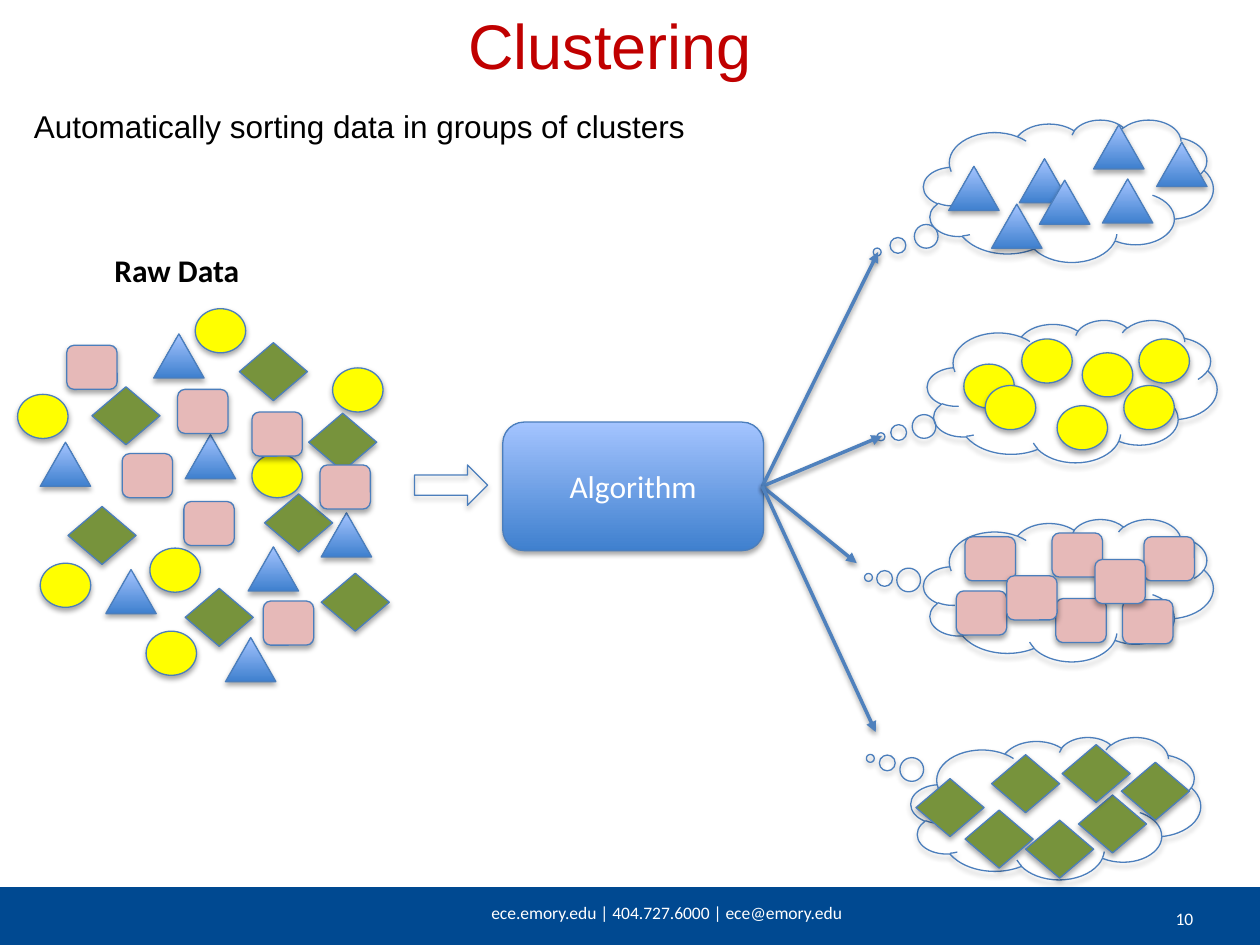
from lxml import etree
from pptx import Presentation
from pptx.dml.color import RGBColor
from pptx.enum.shapes import MSO_CONNECTOR, MSO_SHAPE
from pptx.enum.text import MSO_ANCHOR, MSO_AUTO_SIZE, PP_ALIGN
from pptx.oxml.ns import qn
from pptx.util import Inches, Pt

WHITE, BLACK, TITLE_RED, FOOTER_BLUE = "FFFFFF", "000000", "C00000", "004991"
OUTLINE, ARROW_BLUE = "4B7EBC", "4F81BD"
GRADIENT = ("3F80CE", "A4C4FF")

DATA_KINDS = {
    "circle": (MSO_SHAPE.OVAL, 0.4, 0.35, "FFFF00"),
    "diamond": (MSO_SHAPE.DIAMOND, 0.54, 0.46, "77933C"),
    "triangle": (MSO_SHAPE.ISOSCELES_TRIANGLE, 0.4, 0.35, GRADIENT),
    "square": (MSO_SHAPE.ROUNDED_RECTANGLE, 0.4, 0.35, "E6B9B8"),
}

RAW_DATA = {
    "circle": [(2, 3.6), (2.64, 2.92), (1.55, 2.45), (0.14, 3.13),
               (0.32, 4.47), (1.19, 4.35), (1.16, 5.01)],
    "diamond": [(2.45, 3.28), (1.9, 2.72), (0.73, 3.07), (0.54, 4.02),
                (2.55, 4.55), (1.47, 4.67), (2.1, 3.92)],
    "triangle": [(0.84, 4.52), (1.22, 2.65), (1.47, 3.45), (1.97, 4.34),
                 (1.79, 5.06), (2.55, 4.07), (0.32, 3.51)],
    "square": [(0.97, 3.6), (2.54, 3.69), (1.41, 3.09), (0.53, 2.74),
               (1.46, 3.98), (2, 3.27), (2.09, 4.77)],
}

CLUSTERS = {
    "triangle": [(8.09, 1.26), (8.25, 1.43), (7.53, 1.32), (8.68, 0.99),
                 (8.75, 1.42), (7.87, 1.62), (9.18, 1.13)],
    "circle": [(7.65, 2.89), (7.82, 3.06), (8.39, 3.22), (8.59, 2.8),
               (8.11, 2.69), (9.04, 2.69), (8.92, 3.06)],
    "square": [(7.66, 4.26), (8.35, 4.23), (8.38, 4.75), (7.59, 4.69),
               (9.08, 4.26), (8.91, 4.76), (8.69, 4.44), (7.99, 4.57)],
    "diamond": [(7.27, 6.18), (7.87, 5.99), (7.66, 6.43), (8.56, 6.31),
                (8.9, 6.05), (8.14, 6.51), (8.43, 5.91)],
}

CLOUDS = [
    (7.33, 0.95, -0.66, 0.43),
    (7.36, 2.54, -0.66, 0.32),
    (7.33, 4.12, -0.69, -0.09),
    (7.23, 5.85, -0.64, -0.35),
]
ARROW_START = (6.05, 3.86)
ARROW_ENDS = [(6.97, 2), (7, 3.46), (6.8, 4.47), (6.95, 5.81)]


def color(hex_string):
    return RGBColor.from_string(hex_string)


def add_shadow(shape, distance, opacity):
    effects = etree.SubElement(shape._element.spPr, qn("a:effectLst"))
    shadow = etree.SubElement(
        effects, qn("a:outerShdw"), blurRad=str(Pt(3.1)),
        dist=str(Pt(distance)), dir="5400000", rotWithShape="0")
    black = etree.SubElement(shadow, qn("a:srgbClr"), val=BLACK)
    etree.SubElement(black, qn("a:alpha"), val=str(opacity * 1000))


class SlideBuilder:
    def __init__(self, slide):
        self.slide = slide

    def set_text(self, shape, text, size, text_color, font="Calibri",
                 align=PP_ALIGN.LEFT, bold=False):
        shape.text_frame.text = text
        paragraph = shape.text_frame.paragraphs[0]
        paragraph.alignment = align
        paragraph.font.name = font
        paragraph.font.size = Pt(size)
        paragraph.font.bold = bold
        paragraph.font.color.rgb = color(text_color)

    def title(self, text, left, top, width, height):
        title = self.slide.shapes.title
        title.left, title.top = Inches(left), Inches(top)
        title.width, title.height = Inches(width), Inches(height)
        title.text_frame.auto_size = MSO_AUTO_SIZE.NONE
        title.text_frame.vertical_anchor = MSO_ANCHOR.MIDDLE
        self.set_text(title, text, 36, TITLE_RED, "Arial", PP_ALIGN.CENTER)

    def text(self, text, left, top, width, height, size, text_color,
             wrap=True, **style):
        box = self.slide.shapes.add_textbox(
            Inches(left), Inches(top), Inches(width), Inches(height))
        box.text_frame.word_wrap = wrap
        self.set_text(box, text, size, text_color, **style)

    def bar(self, left, top, width, height, fill):
        bar = self.slide.shapes.add_shape(
            MSO_SHAPE.RECTANGLE, Inches(left), Inches(top),
            Inches(width), Inches(height))
        bar.shadow.inherit = False
        bar.fill.solid()
        bar.fill.fore_color.rgb = color(fill)
        bar.line.fill.background()

    def shape(self, kind, left, top, width, height, fill=None):
        shape = self.slide.shapes.add_shape(
            kind, Inches(left), Inches(top), Inches(width), Inches(height))
        if fill is None:
            shape.fill.background()
        elif isinstance(fill, tuple):
            shape.fill.gradient()
            shape.fill.gradient_angle = 90
            for stop, stop_color in zip(shape.fill.gradient_stops, fill):
                stop.color.rgb = color(stop_color)
        else:
            shape.fill.solid()
            shape.fill.fore_color.rgb = color(fill)
        shape.line.color.rgb = color(OUTLINE)
        shape.line.width = Pt(0.75)
        add_shadow(shape, 1.8, 35)
        return shape

    def data_points(self, groups):
        for name, positions in groups.items():
            kind, width, height, fill = DATA_KINDS[name]
            for left, top in positions:
                self.shape(kind, left, top, width, height, fill)

    def cloud(self, left, top, tail_x, tail_y):
        cloud = self.shape(MSO_SHAPE.CLOUD_CALLOUT, left, top, 2.3, 1.13)
        cloud.adjustments[0] = tail_x
        cloud.adjustments[1] = tail_y

    def arrow(self, start, end):
        arrow = self.slide.shapes.add_connector(
            MSO_CONNECTOR.STRAIGHT, *(Inches(value) for value in start + end))
        arrow.line.color.rgb = color(ARROW_BLUE)
        arrow.line.width = Pt(2)
        etree.SubElement(arrow.get_or_add_ln(), qn("a:tailEnd"), type="triangle")
        add_shadow(arrow, 1.6, 38)


def main():
    presentation = Presentation()
    presentation.slide_width, presentation.slide_height = Inches(10), Inches(7.5)
    builder = SlideBuilder(
        presentation.slides.add_slide(presentation.slide_layouts[5]))

    builder.bar(0, 7.04, 10, 0.46, FOOTER_BLUE)
    builder.text("ece.emory.edu | 404.727.6000 | ece@emory.edu",
                 3.33, 7.11, 3.92, 0.28, 10, WHITE, align=PP_ALIGN.CENTER)
    builder.text("10", 8.9, 7.16, 1, 0.35, 10, WHITE, align=PP_ALIGN.CENTER)
    builder.title("Clustering", 0.34, 0.06, 9, 0.59)
    builder.text("Automatically sorting data in groups of clusters",
                 0.17, 0.8, 7.02, 0.4, 18, BLACK, font="Arial")
    builder.text("Raw Data", 0.81, 1.94, 1.2, 0.4, 18, BLACK,
                 wrap=False, bold=True)

    builder.data_points(RAW_DATA)
    builder.shape(MSO_SHAPE.RIGHT_ARROW, 3.29, 3.69, 0.58, 0.32)
    algorithm = builder.shape(MSO_SHAPE.FLOWCHART_ALTERNATE_PROCESS,
                              3.99, 3.35, 2.07, 1.02, GRADIENT)
    algorithm.text_frame.vertical_anchor = MSO_ANCHOR.MIDDLE
    builder.set_text(algorithm, "Algorithm", 18, WHITE, align=PP_ALIGN.CENTER)

    for cloud in CLOUDS:
        builder.cloud(*cloud)
    builder.data_points(CLUSTERS)
    for end in ARROW_ENDS:
        builder.arrow(ARROW_START, end)

    presentation.save("out.pptx")


if __name__ == "__main__":
    main()
